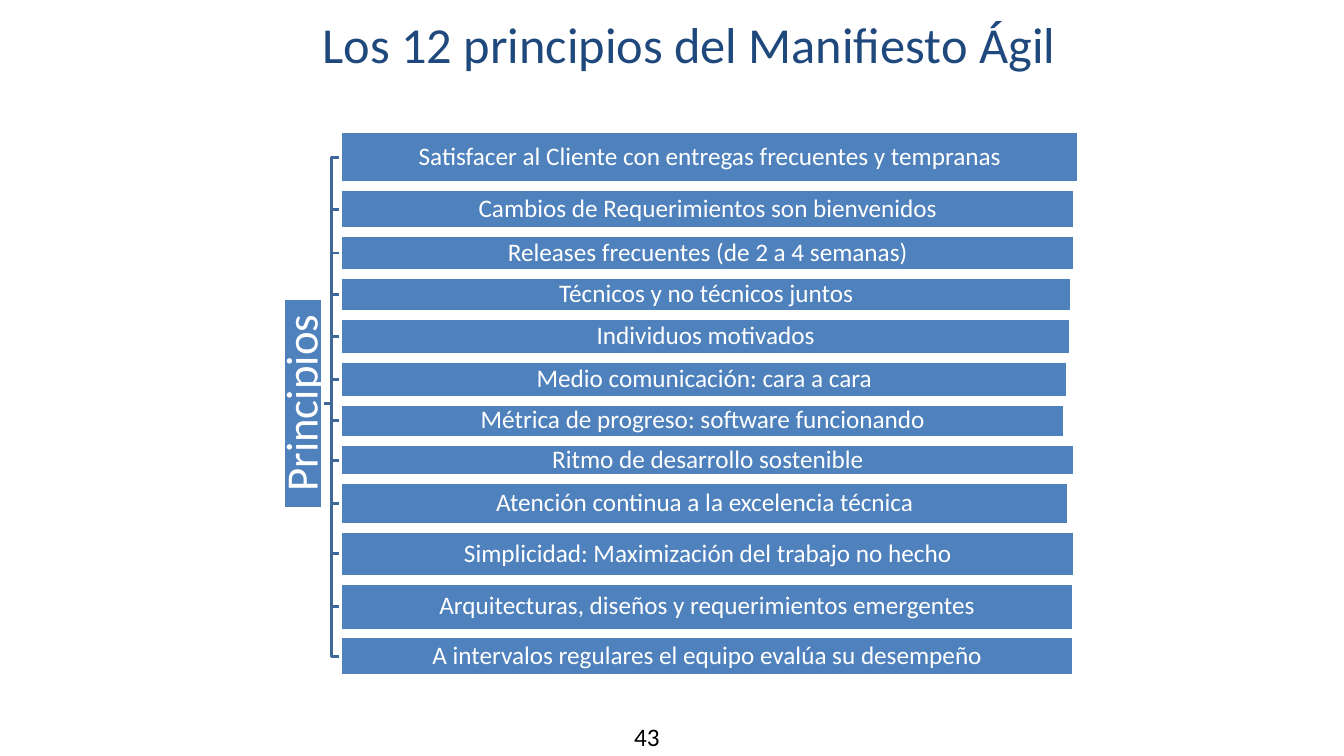
import pptx
import pptx.dml.color
import pptx.enum.shapes
import pptx.enum.text
import pptx.util

Inches = pptx.util.Inches
Pt = pptx.util.Pt
ALIGN = pptx.enum.text.PP_ALIGN
ANCHOR = pptx.enum.text.MSO_ANCHOR

NAVY = pptx.dml.color.RGBColor(0x1F, 0x49, 0x7D)
BLUE = pptx.dml.color.RGBColor(0x4F, 0x81, 0xBD)
BRACKET_BLUE = pptx.dml.color.RGBColor(0x3F, 0x67, 0x97)
WHITE = pptx.dml.color.RGBColor(0xFF, 0xFF, 0xFF)
BLACK = pptx.dml.color.RGBColor(0x00, 0x00, 0x00)

FONT = "Calibri"
BAR_GAP = 0.07
BRACKET_WIDTH = 0.18
ROOT_LENGTH = 2.08
ROOT_THICKNESS = 0.39

PRINCIPLES = [
    ("Satisfacer al Cliente con entregas frecuentes y tempranas", 7.32, 0.5),
    ("Cambios de Requerimientos son bienvenidos", 7.28, 0.39),
    ("Releases frecuentes (de 2 a 4 semanas)", 7.28, 0.34),
    ("Técnicos y no técnicos juntos", 7.25, 0.34),
    ("Individuos motivados", 7.24, 0.36),
    ("Medio comunicación: cara a cara", 7.21, 0.35),
    ("Métrica de progreso: software funcionando", 7.18, 0.33),
    ("Ritmo de desarrollo sostenible", 7.28, 0.31),
    ("Atención continua a la excelencia técnica", 7.22, 0.41),
    ("Simplicidad: Maximización del trabajo no hecho", 7.28, 0.45),
    ("Arquitecturas, diseños y requerimientos emergentes", 7.27, 0.46),
    ("A intervalos regulares el equipo evalúa su desempeño", 7.27, 0.38),
]


def write_text(shape, text, size, color, alignment, anchor, inset):
    frame = shape.text_frame
    frame.word_wrap = True
    frame.vertical_anchor = anchor
    frame.margin_left = frame.margin_right = Inches(inset)
    frame.margin_top = frame.margin_bottom = Inches(inset)
    paragraph = frame.paragraphs[0]
    paragraph.text = text
    paragraph.alignment = alignment
    paragraph.font.name = FONT
    paragraph.font.size = Pt(size)
    paragraph.font.color.rgb = color
    return paragraph


def add_label(slide, left, top, width, height, text, size, color, alignment, inset):
    box = slide.shapes.add_textbox(Inches(left), Inches(top), Inches(width), Inches(height))
    write_text(box, text, size, color, alignment, ANCHOR.TOP, inset)


def add_bar(slide, left, top, width, height, text, size, inset):
    bar = slide.shapes.add_shape(
        pptx.enum.shapes.MSO_SHAPE.RECTANGLE,
        Inches(left), Inches(top), Inches(width), Inches(height))
    bar.shadow.inherit = False
    bar.fill.solid()
    bar.fill.fore_color.rgb = BLUE
    bar.line.color.rgb = WHITE
    bar.line.width = Pt(2)
    paragraph = write_text(bar, text, size, WHITE, ALIGN.CENTER, ANCHOR.MIDDLE, inset)
    paragraph.line_spacing = 0.9
    return bar


def add_branch(slide, left, root_y, bar_y):
    middle = left + BRACKET_WIDTH / 2
    right = left + BRACKET_WIDTH
    builder = slide.shapes.build_freeform(Inches(left), Inches(root_y))
    corners = [(middle, root_y), (middle, bar_y), (right, bar_y)]
    builder.add_line_segments([(Inches(x), Inches(y)) for x, y in corners], close=False)
    branch = builder.convert_to_shape()
    branch.shadow.inherit = False
    branch.fill.background()
    branch.line.color.rgb = BRACKET_BLUE
    branch.line.width = Pt(2)


def add_principles_tree(slide, left, top, height):
    root_y = top + height / 2
    branch_left = left + ROOT_THICKNESS
    bar_left = branch_left + BRACKET_WIDTH

    bars = []
    bar_top = top
    for text, bar_width, bar_height in PRINCIPLES:
        bars.append((bar_left, bar_top, bar_width, bar_height, text))
        bar_top += bar_height + BAR_GAP

    for _, bar_top, _, bar_height, _ in reversed(bars):
        add_branch(slide, branch_left, root_y, bar_top + bar_height / 2)

    root = add_bar(
        slide, left + (ROOT_THICKNESS - ROOT_LENGTH) / 2, root_y - ROOT_THICKNESS / 2,
        ROOT_LENGTH, ROOT_THICKNESS, "Principios", 32, 0.02)
    root.rotation = 270

    for bar in bars:
        add_bar(slide, *bar, 18, 0.01)


def main():
    presentation = pptx.Presentation()
    presentation.slide_width = Inches(13.33)
    presentation.slide_height = Inches(7.5)
    slide = presentation.slides.add_slide(presentation.slide_layouts[6])
    add_label(slide, 6.19, 7.06, 0.64, 0.4, "43", 18, BLACK, ALIGN.LEFT, 0.1)
    add_label(slide, 1.69, 0.13, 10.29, 1.53,
              "Los 12 principios del Manifiesto Ágil", 36, NAVY, ALIGN.CENTER, 0)
    add_principles_tree(slide, 2.81, 1.31, 5.38)
    presentation.save("out.pptx")


if __name__ == "__main__":
    main()
